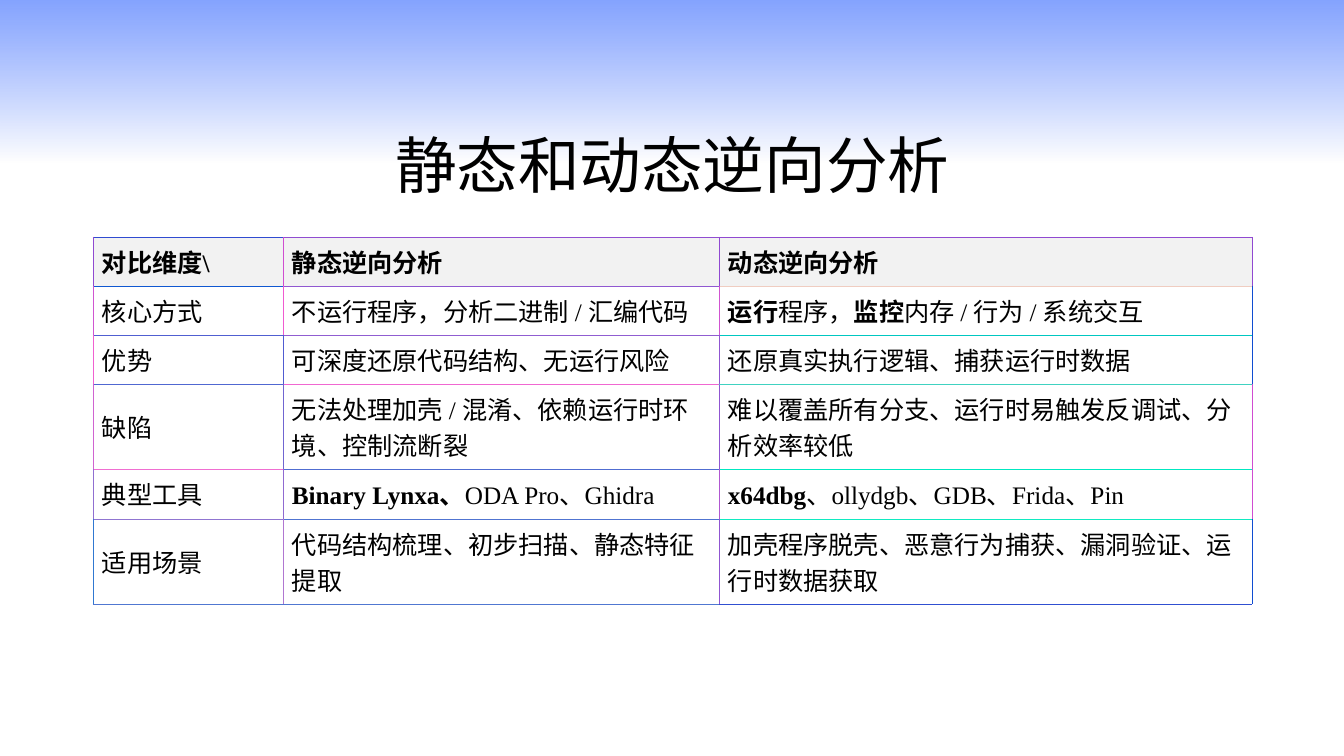
import pptx
import pptx.dml.color
import pptx.enum.lang
import pptx.enum.shapes
import pptx.enum.text
import pptx.oxml
import pptx.oxml.ns
import pptx.util
import lxml.etree

RGB = pptx.dml.color.RGBColor
BLACK = RGB(0x00, 0x00, 0x00)
WHITE = RGB(0xFF, 0xFF, 0xFF)
BLUE = RGB(0x33, 0x66, 0xFF)
HEADER_GREY = RGB(0xF2, 0xF2, 0xF2)

COLUMN_WIDTHS = [190, 436, 533]
ROW_HEIGHTS = [49, 49, 49, 85, 50, 85]
ROWS = [
    ["**对比维度\\**", "**静态逆向分析**", "**动态逆向分析**"],
    ["核心方式", "不运行程序，分析二进制 / 汇编代码",
     "**运行**程序，**监控**内存 / 行为 / 系统交互"],
    ["优势", "可深度还原代码结构、无运行风险", "还原真实执行逻辑、捕获运行时数据"],
    ["缺陷", "无法处理加壳 / 混淆、依赖运行时环境、控制流断裂",
     "难以覆盖所有分支、运行时易触发反调试、分析效率较低"],
    ["典型工具", "**Binary Lynxa、**ODA Pro、Ghidra",
     "**x64dbg**、ollydgb、GDB、Frida、Pin"],
    ["适用场景", "代码结构梳理、初步扫描、静态特征提取",
     "加壳程序脱壳、恶意行为捕获、漏洞验证、运行时数据获取"],
]
HORIZONTAL_RULES = [[RGB.from_string(c) for c in line.split()] for line in (
    "304BD1 904DD1 9049D1",
    "1058D1 9058D1 F0CDC1",
    "505FD1 905DD1 00C7C1",
    "5067D1 F067D1 40D2C1",
    "F06ED1 506DD1 00E8C1",
    "9075D1 5074D1 10EAC1",
    "5077D1 5077D1 304FD1",
)]
VERTICAL_RULES = [[RGB.from_string(c) for c in line.split()] for line in (
    "9049D1 D04DD1 9049D1 9049D1",
    "D055D1 F05AD1 D054D1 104DD1",
    "F060D1 505BD1 9055D1 104DD1",
    "D063D1 7065D1 9055D1 D04CD1",
    "906FD1 906AD1 B057D1 D04CD1",
    "3078D1 B076D1 9055D1 104DD1",
)]


def px(n):
    return pptx.util.Emu(round(n * 914400 / 100.8))


class Deck:
    """Holds the text style and the current slide, and draws its elements."""

    font_name = "Times New Roman"
    rule_width = pptx.util.Pt(0.25)

    def __init__(self, width, height):
        self.prs = pptx.Presentation()
        self.prs.slide_width, self.prs.slide_height = px(width), px(height)
        self.s = self.prs.slides.add_slide(self.prs.slide_layouts[6])

    def set_text(self, p, text, size):
        pieces = [(i % 2 == 1, t) for i, t in enumerate(text.split("**")) if t]
        mixed = len(pieces) > 1
        for bold, piece in pieces:
            r = p.add_run()
            r.text = piece
            r.font.language_id = pptx.enum.lang.MSO_LANGUAGE_ID.SIMPLIFIED_CHINESE
            if mixed:
                r.font.bold = bold
        p.font.name, p.font.size = self.font_name, pptx.util.Pt(size)
        p.font.color.rgb = BLACK
        if not mixed:
            p.font.bold = pieces[0][0]

    def gradient_band(self, x, y, w, h, stops):
        sp = self.s.shapes.add_shape(
            pptx.enum.shapes.MSO_SHAPE.RECTANGLE, px(x), px(y), px(w), px(h))
        sp.shadow.inherit = False
        sp.line.fill.background()
        sp.fill.gradient()
        sp.fill.gradient_angle = 270
        for stop, (color, opacity) in zip(sp.fill.gradient_stops, stops):
            stop.color.rgb = color
        tags = sp._element.spPr.iter(pptx.oxml.ns.qn("a:srgbClr"))
        for tag, (color, opacity) in zip(list(tags), stops):
            lxml.etree.SubElement(
                tag, pptx.oxml.ns.qn("a:alpha"), val=str(opacity * 1000))

    def title(self, x, y, w, h, text, size):
        tf = self.s.shapes.add_textbox(px(x), px(y), px(w), px(h)).text_frame
        tf.word_wrap = True
        tf.vertical_anchor = pptx.enum.text.MSO_ANCHOR.MIDDLE
        p = tf.paragraphs[0]
        p.alignment = pptx.enum.text.PP_ALIGN.CENTER
        p.line_spacing = 1.5
        self.set_text(p, text, size)

    def border(self, cell, side, color):
        ln = lxml.etree.SubElement(
            cell._tc.get_or_add_tcPr(), pptx.oxml.ns.qn("a:ln" + side),
            w=str(int(self.rule_width)))
        fill = lxml.etree.SubElement(ln, pptx.oxml.ns.qn("a:solidFill"))
        lxml.etree.SubElement(
            fill, pptx.oxml.ns.qn("a:srgbClr"), val=str(color))

    def table(self, x, y, widths, heights, rows, size):
        tbl = self.s.shapes.add_table(
            len(heights), len(widths), px(x), px(y),
            px(sum(widths)), px(sum(heights))).table
        tbl.first_row = tbl.horz_banding = False
        for column, width in zip(tbl.columns, widths):
            column.width = px(width)
        for i, height in enumerate(heights):
            tbl.rows[i].height = px(height)
            for j, text in enumerate(rows[i]):
                cell = tbl.cell(i, j)
                cell.margin_left = cell.margin_right = px(9)
                cell.margin_top = cell.margin_bottom = px(6)
                cell.vertical_anchor = pptx.enum.text.MSO_ANCHOR.MIDDLE
                self.border(cell, "L", VERTICAL_RULES[i][j])
                self.border(cell, "R", VERTICAL_RULES[i][j + 1])
                self.border(cell, "T", HORIZONTAL_RULES[i][j])
                self.border(cell, "B", HORIZONTAL_RULES[i + 1][j])
                cell.fill.solid()
                cell.fill.fore_color.rgb = WHITE if i else HEADER_GREY
                self.set_text(cell.text_frame.paragraphs[0], text, size)


def main():
    deck = Deck(1344, 756)
    deck.gradient_band(0, 0, 1344, 163, [(BLUE, 60), (WHITE, 70)])
    deck.title(93, 103, 1159, 84, "静态和动态逆向分析", 44)
    deck.table(93, 237, COLUMN_WIDTHS, ROW_HEIGHTS, ROWS, 18)
    deck.prs.save("out.pptx")


if __name__ == "__main__":
    main()
